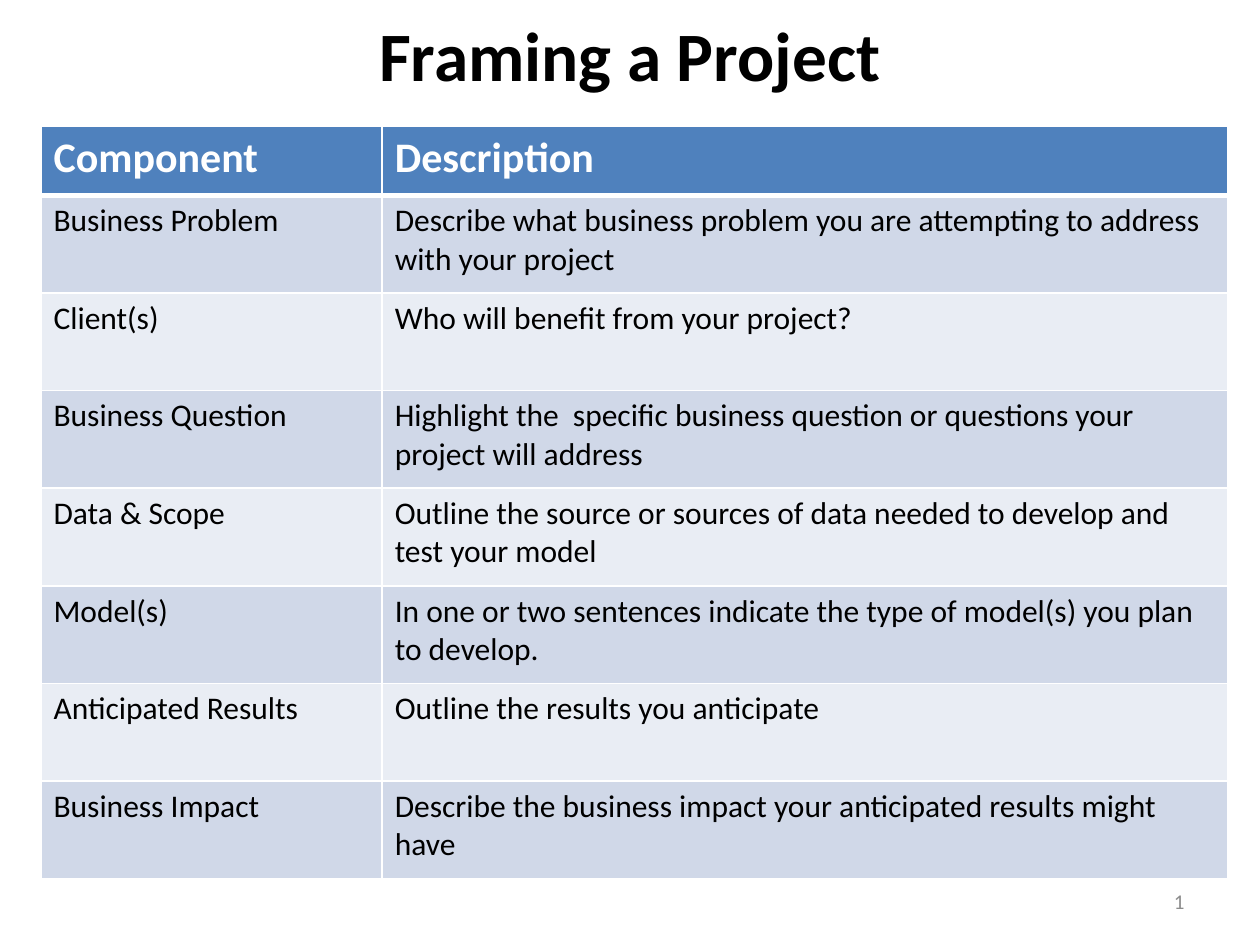
"""Build the project framing slide with its component table."""
from typing import NamedTuple

import pptx
import pptx.dml.color
import pptx.enum.text
import pptx.oxml
import pptx.oxml.ns
import pptx.util

Pt = pptx.util.Pt
Align = pptx.enum.text.PP_ALIGN
Anchor = pptx.enum.text.MSO_ANCHOR

FONT = "Calibri"
WHITE, BLACK, GREY = "FFFFFF", "000000", "8C8C8C"
HEADER_FILL = "4F81BD"
BAND_FILLS = ("D0D8E8", "E9EDF4")
COLUMN_WIDTHS = (195, 483.2)
HEADER_HEIGHT, ROW_HEIGHT = 39.6, 55.8


class Entry(NamedTuple):
    component: str
    description: str


class CellStyle(NamedTuple):
    size: float
    color: str
    fill: str
    bold: bool = False
    bottom_line: float = 1


HEADER = Entry("Component", "Description")
ENTRIES = (
    Entry("Business Problem", "Describe what business problem you are attempting to address with your project"),
    Entry("Client(s)", "Who will benefit from your project?"),
    Entry("Business Question", "Highlight the  specific business question or questions your project will address"),
    Entry("Data & Scope", "Outline the source or sources of data needed to develop and test your model"),
    Entry("Model(s)", "In one or two sentences indicate the type of model(s) you plan to develop."),
    Entry("Anticipated Results ", "Outline the results you anticipate"),
    Entry("Business Impact", "Describe the business impact your anticipated results might have"),
)


def rgb(color: str) -> pptx.dml.color.RGBColor:
    return pptx.dml.color.RGBColor.from_string(color)


def write(frame, text: str, size: float, color: str, bold: bool = False, align=Align.LEFT) -> None:
    frame.text = text
    paragraph = frame.paragraphs[0]
    paragraph.alignment = align
    font = paragraph.font
    font.name, font.size, font.bold = FONT, Pt(size), bold
    font.color.rgb = rgb(color)


def place(shape, left: float, top: float, width: float, height: float) -> None:
    shape.left, shape.top = Pt(left), Pt(top)
    shape.width, shape.height = Pt(width), Pt(height)


def add_border(cell, side: str, width: float) -> None:
    cell._tc.get_or_add_tcPr().append(pptx.oxml.parse_xml(
        f'<a:ln{side} {pptx.oxml.ns.nsdecls("a")} w="{Pt(width)}">'
        f'<a:solidFill><a:srgbClr val="{WHITE}"/></a:solidFill></a:ln{side}>'))


def fill_row(row, entry: Entry, style: CellStyle, top_line: float = 1) -> None:
    for cell, text in zip(row.cells, entry):
        write(cell.text_frame, text, style.size, style.color, style.bold)
        for side, width in (("L", 1), ("R", 1), ("T", top_line), ("B", style.bottom_line)):
            add_border(cell, side, width)
        cell.fill.solid()
        cell.fill.fore_color.rgb = rgb(style.fill)


def add_component_table(slide) -> None:
    height = HEADER_HEIGHT + ROW_HEIGHT * len(ENTRIES)
    table = slide.shapes.add_table(
        len(ENTRIES) + 1, len(COLUMN_WIDTHS), Pt(23.4), Pt(72), Pt(sum(COLUMN_WIDTHS)), Pt(height)).table
    for column, width in zip(table.columns, COLUMN_WIDTHS):
        column.width = Pt(width)
    header_row, *entry_rows = table.rows
    header_row.height = Pt(HEADER_HEIGHT)
    header_style = CellStyle(24, WHITE, HEADER_FILL, bold=True, bottom_line=3)
    fill_row(header_row, HEADER, header_style)
    for index, (row, entry) in enumerate(zip(entry_rows, ENTRIES)):
        row.height = Pt(ROW_HEIGHT)
        top_line = header_style.bottom_line if index == 0 else 1
        fill_row(row, entry, CellStyle(18, BLACK, BAND_FILLS[index % 2]), top_line)


def main() -> None:
    presentation = pptx.Presentation()
    presentation.slide_width, presentation.slide_height = Pt(720), Pt(540)
    slide = presentation.slides.add_slide(presentation.slide_layouts[5])

    title = slide.shapes.title
    place(title, 36, 6.5, 648, 48)
    write(title.text_frame, "Framing a Project", 39.6, BLACK, True, Align.CENTER)
    title.text_frame.vertical_anchor = Anchor.MIDDLE

    add_component_table(slide)

    page_number = slide.shapes.add_textbox(Pt(516), Pt(500.5), Pt(168), Pt(28.8)).text_frame
    page_number.word_wrap = True
    page_number.vertical_anchor = Anchor.MIDDLE
    write(page_number, "1", 12, GREY, align=Align.RIGHT)

    presentation.save("out.pptx")


main()
